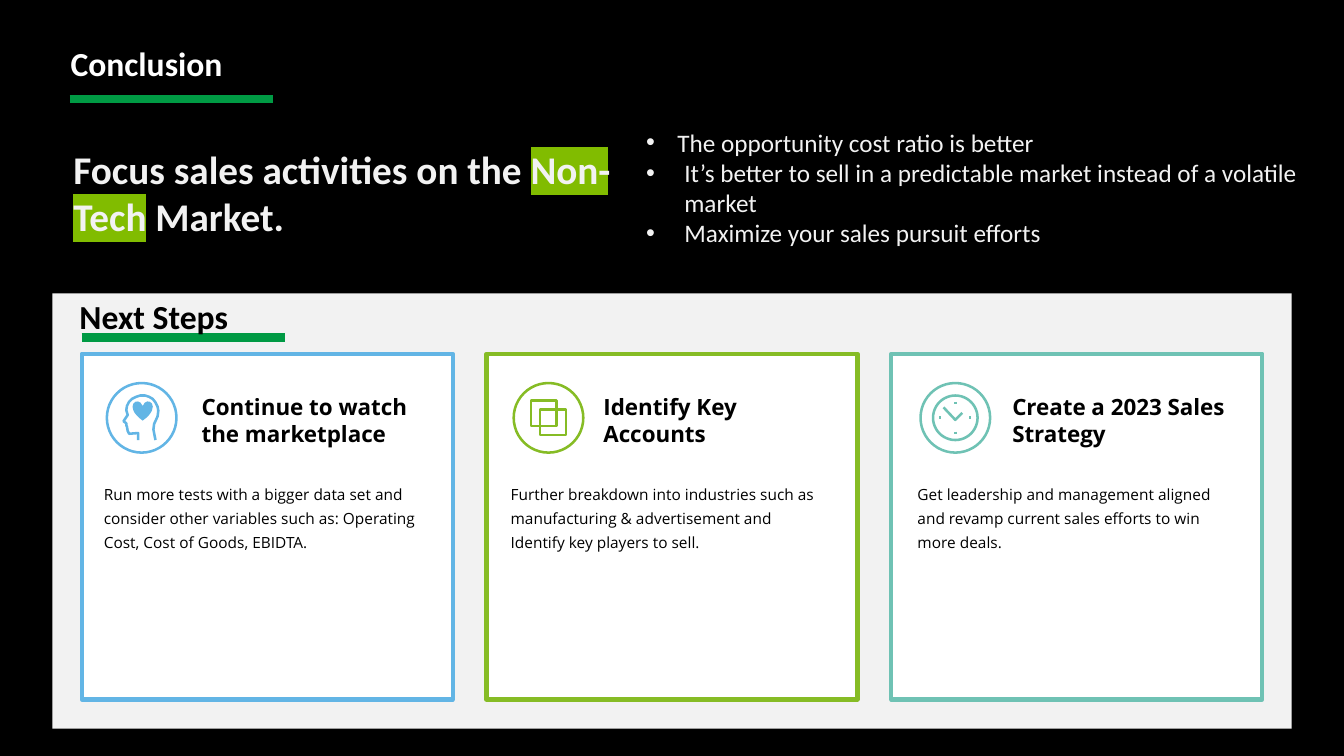
from dataclasses import dataclass

from pptx import Presentation, util as u
from pptx.dml.color import RGBColor
from pptx.enum import dml, shapes, text
from pptx.oxml import parse_xml
from pptx.oxml.ns import nsdecls, qn


@dataclass(frozen=True)
class Theme:
    black: str = "000000"
    white: str = "FFFFFF"
    pale: str = "F2F2F2"
    rule: str = "009A44"
    mark: str = "81BC00"
    blue: str = "62B5E5"
    green: str = "86BC25"
    teal: str = "6FC2B4"
    sans: str = "Calibri"
    body: str = "Open Sans"
    claim_pt: int = 28
    title_pt: int = 24
    bullet_pt: int = 18
    head_pt: int = 16
    body_pt: int = 11
    icon_pt: float = 1.8


@dataclass(frozen=True)
class Box:
    """An area in inches."""
    x: float
    y: float
    w: float
    h: float

    def at(self, dx, dy, w, h):
        return Box(self.x + dx, self.y + dy, w, h)

    def share(self, x, y, w, h):
        return self.at(x * self.w, y * self.h, w * self.w, h * self.h)

    def emu(self):
        return [u.Inches(v) for v in (self.x, self.y, self.w, self.h)]


T = Theme()
SLIDE = Box(0, 0, 13.33, 7.5)
BULLETS = [  # wording, hanging indent
    ("The opportunity cost ratio is better", 0.31),
    ("It’s better to sell in a predictable market instead of a volatile market", 0.38),
    ("Maximize your sales pursuit efforts", 0.38),
]
HEAD = [(45, 82), (45, 72), (32, 73), (30, 69), (29, 63), (28, 61), (28, 58), (24, 55),
        (30, 46), (28, 39), (29, 33), (32, 27), (36, 23), (42, 20), (48, 18), (55, 18),
        (61, 20), (66, 23), (70, 28), (73, 34), (74, 40), (73, 48), (68, 59), (67, 67),
        (70, 82)]
CLOCK_STROKES = [
    [(33, 35), (50, 53), (60, 43)],
    [(50, 27), (50, 30)], [(50, 70), (50, 73)],
    [(27, 50), (30, 50)], [(70, 50), (73, 50)],
]


def rgb(code):
    return RGBColor.from_string(code)


# Shared building pieces
def add_run(p, words, size, font, color, bold=False, highlight=None):
    r = p.add_run()
    r.text = words
    r.font.size, r.font.name, r.font.bold = u.Pt(size), font, bold
    r.font.color.rgb = rgb(color)
    if highlight:
        mark = parse_xml(f'<a:highlight {nsdecls("a")}><a:srgbClr val="{highlight}"/></a:highlight>')
        r.font._element.find(qn("a:solidFill")).addnext(mark)


def add_text(s, box, inset=True):
    tf = s.shapes.add_textbox(*box.emu()).text_frame
    tf.word_wrap = True
    if not inset:
        tf.margin_left = tf.margin_right = tf.margin_top = tf.margin_bottom = 0
    return tf


def paint(sp, fill=None, line=None, width=1):
    sp.shadow.inherit = False
    if fill:
        sp.fill.solid()
        sp.fill.fore_color.rgb = rgb(fill)
    else:
        sp.fill.background()
    if line:
        sp.line.color.rgb = rgb(line)
        sp.line.width = u.Pt(width)
    else:
        sp.line.fill.background()


def add_shape(s, kind, box, **look):
    sp = s.shapes.add_shape(kind, *box.emu())
    paint(sp, **look)


def add_stroke(s, box, points, color):
    pts = [(u.Inches(box.x + box.w * x / 100), u.Inches(box.y + box.h * y / 100)) for x, y in points]
    fb = s.shapes.build_freeform(*pts[0])
    fb.add_line_segments(pts[1:], close=False)
    paint(fb.convert_to_shape(), line=color, width=T.icon_pt)


def add_rule(s, x, y):
    cx = s.shapes.add_connector(shapes.MSO_CONNECTOR.STRAIGHT, u.Inches(x), u.Inches(y),
                                u.Inches(x + 2.02), u.Inches(y))
    cx.line.color.rgb, cx.line.width = rgb(T.rule), u.Pt(6)
    cx.line.dash_style = dml.MSO_LINE.SOLID
    cx._element.spPr.append(parse_xml(f'<a:effectLst {nsdecls("a")}/>'))


# Icons, each drawn inside its ring
def head_icon(s, box, color):
    add_stroke(s, box, HEAD, color)
    add_shape(s, shapes.MSO_SHAPE.HEART, box.share(0.37, 0.26, 0.29, 0.28), fill=color)


def squares_icon(s, box, color):
    for shift in (0.25, 0.38):
        add_shape(s, shapes.MSO_SHAPE.RECTANGLE, box.share(shift, shift, 0.37, 0.37),
                  line=color, width=T.icon_pt)


def clock_icon(s, box, color):
    add_shape(s, shapes.MSO_SHAPE.OVAL, box.share(0.18, 0.18, 0.64, 0.64),
              line=color, width=T.icon_pt)
    for points in CLOCK_STROKES:
        add_stroke(s, box, points, color)


CARDS = [  # colour, icon, heading, heading offset, body
    (T.blue, head_icon, "Continue to watch the marketplace", 0.97,
     "Run more tests with a bigger data set and consider other variables such as: "
     "Operating Cost, Cost of Goods, EBIDTA."),
    (T.green, squares_icon, "Identify Key Accounts", 0.92,
     "Further breakdown into industries such as manufacturing & advertisement and "
     "Identify key players to sell."),
    (T.teal, clock_icon, "Create a 2023 Sales Strategy", 0.94,
     "Get leadership and management aligned and revamp current sales efforts to win more deals."),
]


# Regions
def title_region(s, box):
    sp = s.shapes.title
    sp.left, sp.top, sp.width, sp.height = box.emu()
    tf = sp.text_frame
    tf.auto_size, tf.vertical_anchor = text.MSO_AUTO_SIZE.NONE, text.MSO_ANCHOR.TOP
    p = tf.paragraphs[0]
    p.alignment = text.PP_ALIGN.LEFT
    add_run(p, "Conclusion", T.title_pt, T.sans, T.white, True)
    add_rule(s, box.x + 0.09, box.y + 0.6)


def claim_region(s, box):
    p = add_text(s, box).paragraphs[0]
    for words, mark in (("Focus sales activities on the ", None), ("Non-Tech", T.mark), (" Market.", None)):
        add_run(p, words, T.claim_pt, T.sans, T.pale, True, mark)


def reasons_region(s, box):
    tf = add_text(s, box)
    for i, (words, indent) in enumerate(BULLETS):
        p = tf.add_paragraph() if i else tf.paragraphs[0]
        pPr = p._p.get_or_add_pPr()
        pPr.set("marL", str(u.Inches(indent)))
        pPr.set("indent", str(-u.Inches(indent)))
        pPr.append(parse_xml(f'<a:buFont {nsdecls("a")} typeface="Arial"/>'))
        pPr.append(parse_xml(f'<a:buChar {nsdecls("a")} char="•"/>'))
        add_run(p, words, T.bullet_pt, T.sans, T.pale)


def card(s, box, inset, color, icon, heading, offset, body):
    add_shape(s, shapes.MSO_SHAPE.RECTANGLE, box, fill=T.white, line=color, width=3)
    ring = box.at(inset + 0.03, 0.29, 0.69, 0.69)
    add_shape(s, shapes.MSO_SHAPE.OVAL, ring, line=color, width=T.icon_pt)
    icon(s, ring, color)
    p = add_text(s, box.at(inset + offset, 0.39, 2.17, 0.7), inset=False).paragraphs[0]
    add_run(p, heading, T.head_pt, T.body, T.black, True)
    p = add_text(s, box.at(inset, 1.25, 3.16, 0.7), inset=False).paragraphs[0]
    p.line_spacing = 1.3
    add_run(p, body, T.body_pt, T.body, T.black)


def next_steps_region(s, box):
    add_shape(s, shapes.MSO_SHAPE.RECTANGLE, box, fill=T.pale)
    add_rule(s, box.x + 0.29, box.y + 0.44)
    p = add_text(s, box.at(0.17, -0.02, 6.67, 0.5)).paragraphs[0]
    add_run(p, "Next Steps", T.title_pt, T.sans, T.black, True)
    for i, parts in enumerate(CARDS):
        card(s, box.at(0.29 + 4.015 * i, 0.6, 3.68, 3.43), 0.22 + 0.02 * i, *parts)


def main():
    prs = Presentation()
    prs.slide_width, prs.slide_height = u.Inches(SLIDE.w), u.Inches(SLIDE.h)
    s = prs.slides.add_slide(prs.slide_layouts[5])
    s.background.fill.solid()
    s.background.fill.fore_color.rgb = rgb(T.black)
    title_region(s, SLIDE.at(0.6, 0.38, 6.67, 0.5))
    claim_region(s, SLIDE.at(0.63, 1.39, 5.81, 1.51))
    reasons_region(s, SLIDE.at(6.31, 1.21, 6.67, 1.31))
    next_steps_region(s, SLIDE.at(0.52, 2.91, 12.29, 4.32))
    prs.save("out.pptx")


if __name__ == "__main__":
    main()
